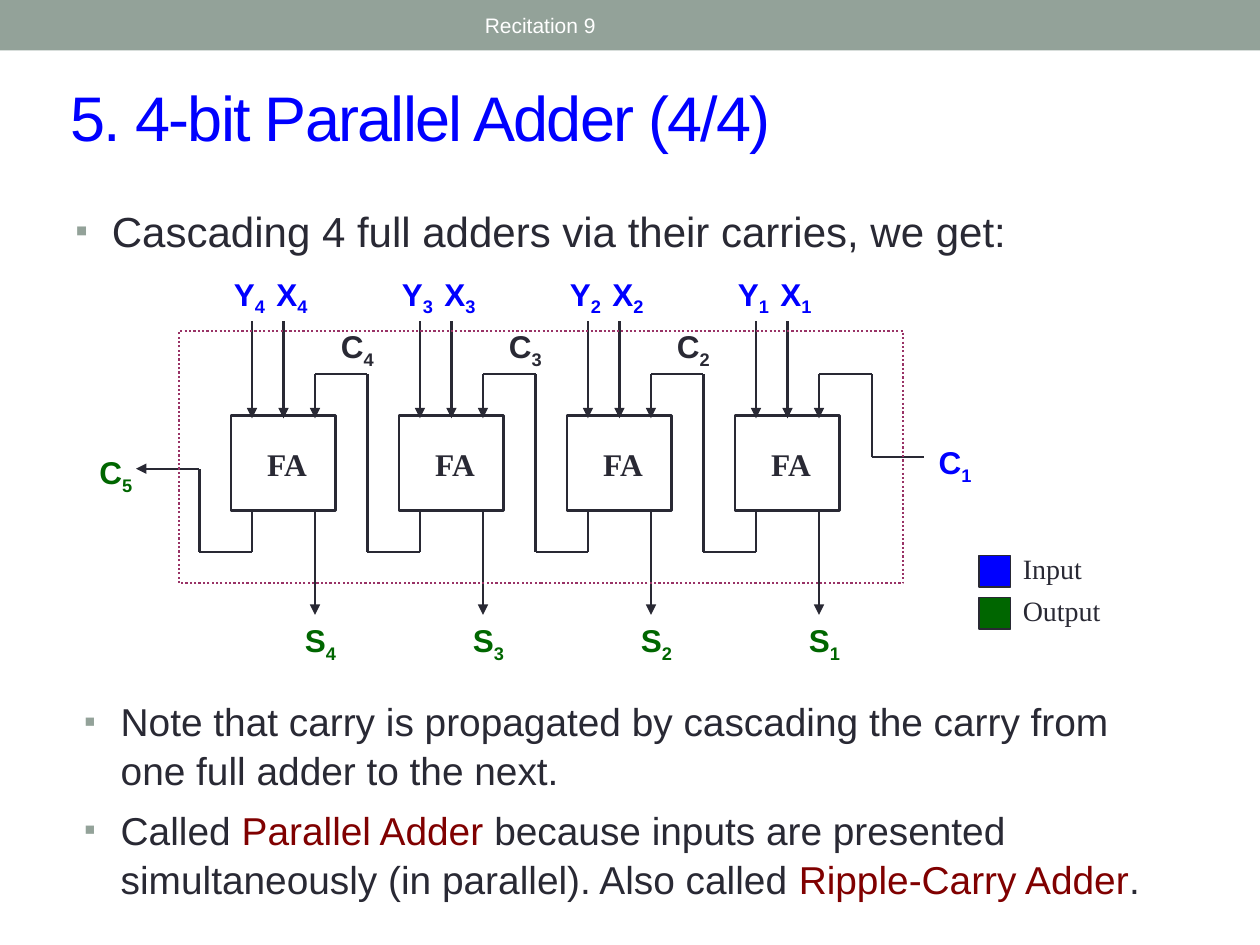
from lxml import etree
from pptx import Presentation
from pptx.dml.color import RGBColor
from pptx.enum.dml import MSO_LINE
from pptx.enum.shapes import MSO_CONNECTOR, MSO_SHAPE
from pptx.enum.text import MSO_ANCHOR, MSO_AUTO_SIZE, PP_ALIGN
from pptx.oxml.ns import qn
from pptx.util import Inches, Pt

RECTANGLE = MSO_SHAPE.RECTANGLE
STRAIGHT = MSO_CONNECTOR.STRAIGHT
DOTTED = MSO_LINE.ROUND_DOT
LEFT, CENTER = PP_ALIGN.LEFT, PP_ALIGN.CENTER
TOP, MIDDLE = MSO_ANCHOR.TOP, MSO_ANCHOR.MIDDLE
NO_AUTOFIT = MSO_AUTO_SIZE.NONE

INK, INPUT, OUTPUT = "292934", "0000FF", "006600"
SAGE, MAROON, PLUM, WHITE = "93A299", "800000", "993366", "FFFFFF"
SERIF = "Times New Roman"


def color(hex_text):
    return RGBColor.from_string(hex_text)


def add_element(parent, tag, **attributes):
    return etree.SubElement(parent, qn(tag), attributes)


def add_span(para, text, size=18, font="Arial", ink=INK, bold=False,
             baseline=None, spacing=None):
    span = para.add_run()
    span.text = text
    span.font.size, span.font.name, span.font.bold = Pt(size), font, bold
    span.font.color.rgb = color(ink)
    properties = span._r.get_or_add_rPr()
    if baseline is not None:
        properties.set("baseline", str(baseline * 1000))
    if spacing is not None:
        properties.set("spc", str(int(spacing * 100)))


def set_hanging(para, indent, bullet=None):
    properties = para._p.get_or_add_pPr()
    properties.set("marL", str(Inches(indent)))
    properties.set("indent", str(-Inches(indent)))
    if bullet:
        add_element(add_element(properties, "a:buClr"), "a:srgbClr", val=SAGE)
        add_element(properties, "a:buSzPct", val="85000")
        add_element(properties, "a:buFont", typeface="Arial")
        add_element(properties, "a:buChar", char=bullet)


class Sketch:
    """Holds the current slide and draws on it in one style."""

    def __init__(self, slide):
        self.slide = slide
        self.shapes = slide.shapes

    def fill_frame(self, frame, paragraphs, align=LEFT, anchor=TOP, hanging=0,
                   bullet=None, gap=0, leading=None, **style):
        """Each paragraph is a string or a list of (text, overrides) pairs."""
        frame.word_wrap = True
        frame.auto_size = NO_AUTOFIT
        frame.vertical_anchor = anchor
        for index, parts in enumerate(paragraphs):
            para = frame.add_paragraph() if index else frame.paragraphs[0]
            para.alignment = align
            para.space_before = Pt(gap if index else 0)
            if leading:
                para.line_spacing = leading
            if hanging:
                set_hanging(para, hanging, bullet)
            if isinstance(parts, str):
                parts = [(parts, {})]
            for text, overrides in parts:
                add_span(para, text, **{**style, **overrides})

    def title(self, text, left, top, width, height, **style):
        box = self.shapes.title
        box.left, box.top = Inches(left), Inches(top)
        box.width, box.height = Inches(width), Inches(height)
        self.fill_frame(box.text_frame, [text], **style)

    def text(self, paragraphs, left, top, width, height, **style):
        box = self.shapes.add_textbox(
            Inches(left), Inches(top), Inches(width), Inches(height))
        self.fill_frame(box.text_frame, paragraphs, **style)

    def signal(self, names, left, top, width, ink=INK):
        """Bold label such as C1, its digit lowered; takes several names."""
        parts = []
        for name in names:
            if parts:
                parts.append((" ", {"spacing": 1.5}))
            parts += [(name[0], {}), (name[1:], {"baseline": -25})]
        self.text([parts], left, top, width, 0.4,
                  align=CENTER, ink=ink, bold=True)

    def rectangle(self, left, top, width, height, fill=None, line=None,
                  weight=1.25, dash=None):
        box = self.shapes.add_shape(
            RECTANGLE, Inches(left), Inches(top), Inches(width), Inches(height))
        box.shadow.inherit = False
        if fill:
            box.fill.solid()
            box.fill.fore_color.rgb = color(fill)
        else:
            box.fill.background()
        if line:
            box.line.color.rgb = color(line)
            box.line.width = Pt(weight)
            if dash:
                box.line.dash_style = dash
        else:
            box.line.fill.background()

    def wire(self, *points, arrow=True):
        """Straight pieces through the points, with an arrow at the last."""
        for start, end in zip(points, points[1:]):
            piece = self.shapes.add_connector(
                STRAIGHT, *(Inches(value) for value in start + end))
            piece.line.color.rgb = color(INK)
            piece.line.width = Pt(1.25)
            add_element(piece._element.spPr, "a:effectLst")
            if arrow and end == points[-1]:
                add_element(piece.line._get_or_add_ln(), "a:tailEnd",
                            type="triangle")


def draw_adder(sketch):
    step, first_left = 4 / 3, 11 / 6
    box_top, box_bottom, arrow_end = 3.3, 4.05, 3.32
    carry_top, carry_bottom = 2.97, 4.38

    for index, bit in enumerate((4, 3, 2, 1)):
        left = first_left + index * step
        y_pin, x_pin, carry_pin = left + 1 / 6, left + 5 / 12, left + 2 / 3

        # Full adder with its inputs and sum
        sketch.rectangle(left, box_top, 0.83, 0.75, line=INK, weight=1.5)
        sketch.text(["FA"], left + 0.11, 3.48, 0.67, 0.4,
                    align=CENTER, font=SERIF, bold=True)
        sketch.signal([f"Y{bit}", f"X{bit}"], left - 0.16, 2.13, 0.95, INPUT)
        for pin in (y_pin, x_pin):
            sketch.wire((pin, 2.55), (pin, arrow_end))
        sketch.wire((carry_pin, box_bottom), (carry_pin, 4.88))
        sketch.signal([f"S{bit}"], left + 0.42, 4.88, 0.58, OUTPUT)

        # Carry out, to the next adder on the left or out of the circuit
        riser = left - 0.25
        if bit == 4:
            tail = [(riser, 3.72), (1.08, 3.72)]
        else:
            next_pin = carry_pin - step
            tail = [(riser, carry_top), (next_pin, carry_top),
                    (next_pin, arrow_end)]
            sketch.signal([f"C{bit + 1}"], left - 0.58, 2.55, 0.5)
        sketch.wire((y_pin, box_bottom), (y_pin, carry_bottom),
                    (riser, carry_bottom), *tail)

    # First carry in, last carry out and the circuit outline
    sketch.wire((7.33, 3.63), (6.92, 3.63), (6.92, carry_top),
                (6.5, carry_top), (6.5, arrow_end))
    sketch.signal(["C1"], 7.33, 3.47, 0.5, INPUT)
    sketch.signal(["C5"], 0.67, 3.55, 0.5, OUTPUT)
    sketch.rectangle(1.42, 2.63, 5.75, 2, line=PLUM, dash=DOTTED)


def main():
    deck = Presentation()
    deck.slide_width, deck.slide_height = Inches(10), Inches(7.5)
    page = deck.slides.add_slide(deck.slide_layouts[5])
    sketch = Sketch(page)

    # Header and title
    sketch.rectangle(0, 0, 10, 0.4, fill=SAGE)
    sketch.text(["Recitation 9"], 3.75, 0.02, 4.5, 0.36,
                anchor=MIDDLE, size=12, ink=WHITE)
    sketch.title("5. 4-bit Parallel Adder (4/4)", 0.46, 0.57, 9.21, 0.7,
                 anchor=MIDDLE, hanging=2.16, size=36, ink=INPUT, spacing=-1)

    # Introduction and circuit
    sketch.text(["Cascading 4 full adders via their carries, we get:"],
                0.5, 1.58, 8.83, 0.63, size=24, hanging=0.29, bullet="▪")
    draw_adder(sketch)

    # Legend
    for row, (name, fill) in enumerate((("Input", INPUT), ("Output", OUTPUT))):
        top = 4.33 + row / 3
        sketch.rectangle(7.77, top + 0.08, 0.25, 0.25, fill, INK, 0.75)
        sketch.text([name], 8.02, top, 1, 0.37, size=16, font=SERIF)

    # Closing notes
    term = {"ink": MAROON}
    notes = [
        "Note that carry is propagated by cascading the carry from "
        "one full adder to the next.",
        [("Called ", {}), ("Parallel Adder", term),
         (" because inputs are presented simultaneously (in parallel). "
          "Also called ", {}), ("Ripple-Carry Adder", term), (".", {})],
    ]
    sketch.text(notes, 0.57, 5.47, 8.83, 1.68, size=22.2, hanging=0.29,
                bullet="▪", gap=6, leading=1.05)

    deck.save("out.pptx")


if __name__ == "__main__":
    main()
